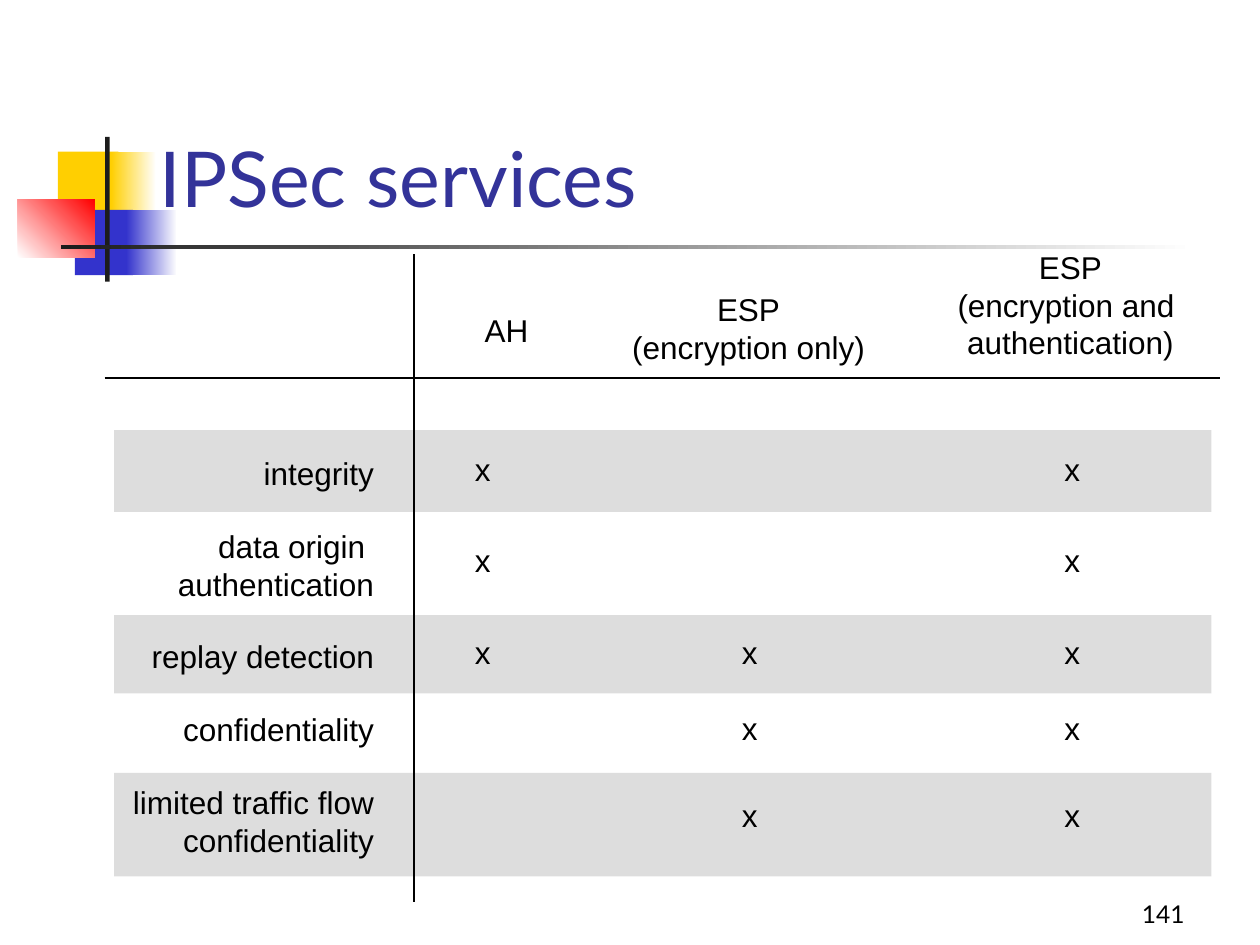
from pptx import Presentation
from pptx.dml.color import RGBColor
from pptx.enum.shapes import MSO_CONNECTOR, MSO_SHAPE
from pptx.enum.text import MSO_ANCHOR, MSO_AUTO_SIZE, PP_ALIGN
from pptx.oxml.ns import qn
from pptx.util import Cm, Pt
from lxml.etree import SubElement

BLACK = RGBColor(0, 0, 0)
WHITE = RGBColor(255, 255, 255)
CHARCOAL = RGBColor(0x1C, 0x1C, 0x1C)
YELLOW = RGBColor(0xFF, 0xCF, 0x01)
BLUE = RGBColor(0x33, 0x33, 0xCC)
RED = RGBColor(255, 0, 0)
GREY = RGBColor(0xDD, 0xDD, 0xDD)
TITLE_BLUE = RGBColor(0x33, 0x33, 0x99)

TITLE = "IPSec services"
PAGE_NUMBER = "141"

# left, top, width, height, colours, gradient angle
ORNAMENTS = [
    (1.17, 3.06, 1.22, 1.32, [YELLOW], 0),
    (2.24, 3.06, 0.91, 1.32, [YELLOW, WHITE], 0),
    (1.51, 4.23, 1.17, 1.32, [BLUE], 0),
    (2.55, 4.23, 1.02, 1.32, [BLUE, WHITE], 0),
    (0.36, 4.02, 1.55, 1.17, [WHITE, RED], 45),
    (2.12, 2.76, 0.09, 2.92, [CHARCOAL], 0),
    (1.23, 4.94, 22.86, 0.09, [CHARCOAL, WHITE], 0),
]

# heading lines, centre, top, width, centre of marks
COLUMNS = [
    (["AH"], 10.21, 6.15, 1.45, 9.73),
    (["ESP", "(encryption only)"], 15.09, 5.72, 5.25, 15.11),
    (["ESP", "(encryption and ", "authentication)"], 21.58, 4.87, 5.15, 21.61),
]

# label lines, top, width, top of marks, marked columns, band top and height
ROWS = [
    (["integrity"], 9.03, 2.8, 8.95, (0, 2), (8.67, 1.65)),
    (["data origin ", "authentication"], 10.5, 4.55, 10.78, (0, 2), None),
    (["replay detection"], 12.72, 5.05, 12.64, (0, 1, 2), (12.4, 1.58)),
    (["confidentiality"], 14.19, 4.45, 14.16, (1, 2), None),
    (["limited traffic flow", "confidentiality"], 15.66, 5.45, 15.92, (1, 2), (15.58, 2.09)),
]
LABEL_RIGHT = 7.79
BAND_LEFT, BAND_WIDTH = 2.3, 22.12
MARK_WIDTH = 0.81
LINE_HEIGHT, BOX_PADDING = 0.76, 0.25
RULES = [(2.11, 7.62, 24.59, 7.62), (8.35, 5.13, 8.35, 18.19)]


def add_block(slide, left, top, width, height, colours, angle=0):
    shape = slide.shapes.add_shape(
        MSO_SHAPE.RECTANGLE, Cm(left), Cm(top), Cm(width), Cm(height))
    shape.shadow.inherit = False
    shape.line.fill.background()
    if len(colours) == 1:
        shape.fill.solid()
        shape.fill.fore_color.rgb = colours[0]
    else:
        shape.fill.gradient()
        shape.fill.gradient_angle = angle
        for stop, colour in zip(shape.fill.gradient_stops, colours):
            stop.color.rgb = colour


def format_paragraph(paragraph, alignment, name, size, colour):
    paragraph.alignment = alignment
    paragraph.font.name = name
    paragraph.font.size = Pt(size)
    paragraph.font.color.rgb = colour


def add_label(slide, lines, left, top, width, alignment=PP_ALIGN.CENTER):
    height = BOX_PADDING + LINE_HEIGHT * len(lines)
    box = slide.shapes.add_textbox(Cm(left), Cm(top), Cm(width), Cm(height))
    frame = box.text_frame
    frame.word_wrap = False
    frame.auto_size = MSO_AUTO_SIZE.SHAPE_TO_FIT_TEXT
    frame.text = "\n".join(lines)
    for paragraph in frame.paragraphs:
        format_paragraph(paragraph, alignment, "Arial", 18, BLACK)


def add_rule(slide, start_x, start_y, end_x, end_y):
    connector = slide.shapes.add_connector(
        MSO_CONNECTOR.STRAIGHT, Cm(start_x), Cm(start_y), Cm(end_x), Cm(end_y))
    connector.line.color.rgb = BLACK
    connector.line.width = Pt(1)
    SubElement(connector._element.spPr, qn("a:effectLst"))


def add_title(slide):
    title = slide.shapes.title
    title.left, title.top, title.width, title.height = Cm(2.97), Cm(2.54), Cm(21.64), Cm(2.08)
    frame = title.text_frame
    frame.text = TITLE
    frame.auto_size = MSO_AUTO_SIZE.NONE
    frame.vertical_anchor = MSO_ANCHOR.BOTTOM
    format_paragraph(frame.paragraphs[0], PP_ALIGN.LEFT, "Lato", 44, TITLE_BLUE)
    slide.shapes._spTree.append(title._element)


def add_page_number(slide):
    box = slide.shapes.add_textbox(Cm(18.85), Cm(17.58), Cm(5.28), Cm(1.27))
    frame = box.text_frame
    frame.word_wrap = True
    frame.vertical_anchor = MSO_ANCHOR.BOTTOM
    frame.text = PAGE_NUMBER
    format_paragraph(frame.paragraphs[0], PP_ALIGN.RIGHT, "Lato", 14, BLACK)


def main():
    presentation = Presentation()
    presentation.slide_width, presentation.slide_height = Cm(25.4), Cm(19.05)
    slide = presentation.slides.add_slide(presentation.slide_layouts[5])

    for ornament in ORNAMENTS:
        add_block(slide, *ornament)
    add_page_number(slide)
    for *_, band in ROWS:
        if band:
            add_block(slide, BAND_LEFT, band[0], BAND_WIDTH, band[1], [GREY])
    add_title(slide)

    for lines, centre, top, width, _ in COLUMNS:
        add_label(slide, lines, centre - width / 2, top, width)
    for lines, top, width, *_ in ROWS:
        add_label(slide, lines, LABEL_RIGHT - width, top, width, PP_ALIGN.RIGHT)
    for rule in RULES:
        add_rule(slide, *rule)
    for _, _, _, mark_top, marked, _ in ROWS:
        for column in marked:
            mark_centre = COLUMNS[column][-1]
            add_label(slide, ["x"], mark_centre - MARK_WIDTH / 2, mark_top, MARK_WIDTH)

    presentation.save("out.pptx")


if __name__ == "__main__":
    main()
